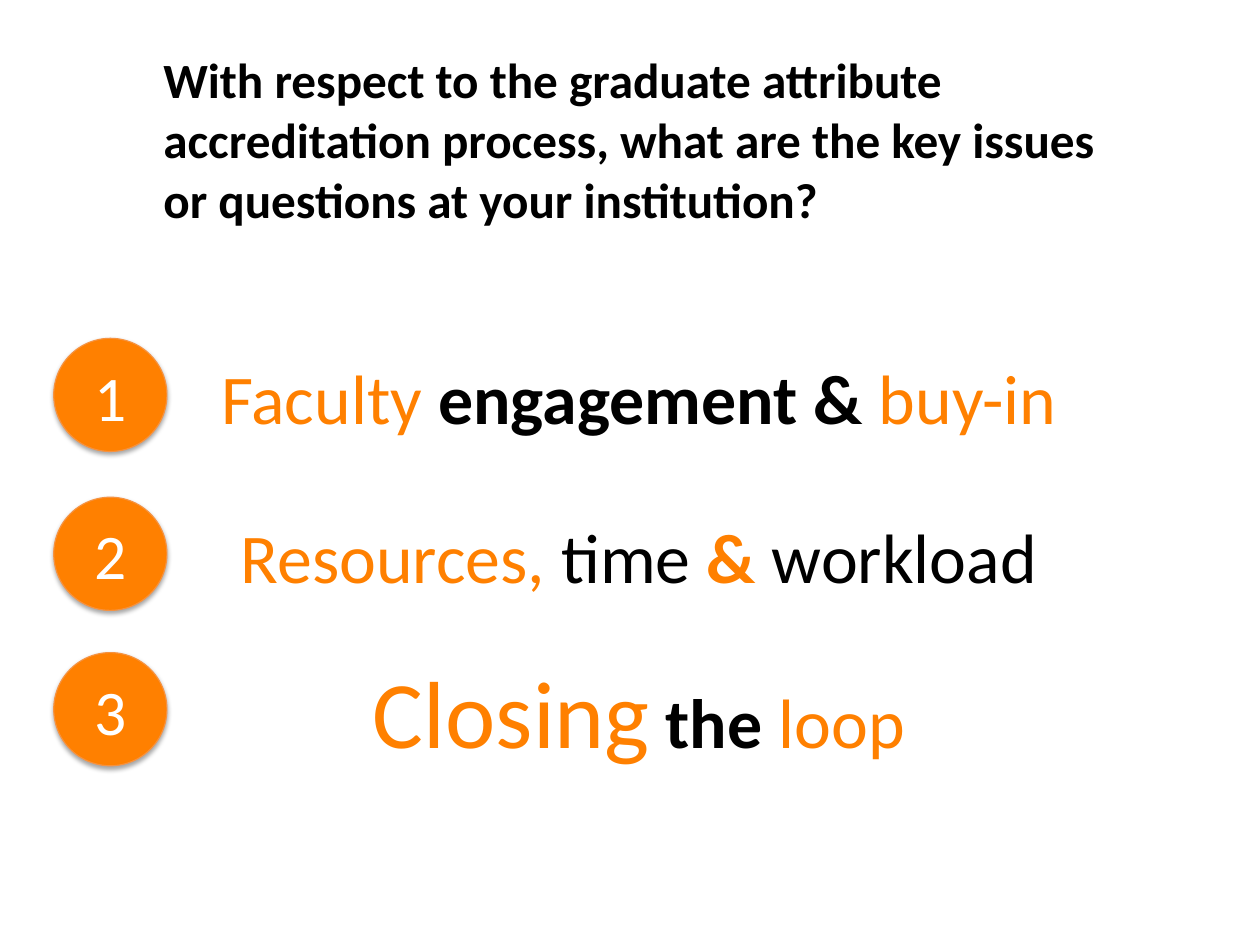
from dataclasses import dataclass

import lxml.etree
import pptx
import pptx.dml.color
import pptx.enum.shapes
import pptx.enum.text
import pptx.oxml.ns
import pptx.shapes.autoshape
import pptx.slide
import pptx.text.text
import pptx.util
from pptx.util import Inches, Pt

ORANGE = pptx.dml.color.RGBColor(0xFF, 0x80, 0x00)
OUTLINE = pptx.dml.color.RGBColor(0xF6, 0x92, 0x40)
BLACK = pptx.dml.color.RGBColor(0x00, 0x00, 0x00)
WHITE = pptx.dml.color.RGBColor(0xFF, 0xFF, 0xFF)
CENTER = pptx.enum.text.PP_ALIGN.CENTER
LEFT = pptx.enum.text.PP_ALIGN.LEFT
BADGE_SIZE = 0.99
CM_PER_INCH = 2.54


@dataclass(frozen=True)
class Phrase:
    text: str
    color: pptx.dml.color.RGBColor
    bold: bool = False
    size: int = 44


@dataclass(frozen=True)
class Issue:
    badge_top: float
    text_top: float
    text_height: float
    phrases: tuple[Phrase, ...]


QUESTION = Phrase(
    "With respect to the graduate attribute accreditation process, "
    "what are the key issues or questions at your institution?",
    BLACK, bold=True, size=31,
)
ISSUES = (
    Issue(2.96, 3.03, 0.86, (
        Phrase("Faculty ", ORANGE),
        Phrase("engagement & ", BLACK, bold=True),
        Phrase("buy-in", ORANGE),
    )),
    Issue(4.35, 4.42, 0.86, (
        Phrase("Resources, ", ORANGE),
        Phrase("time ", BLACK),
        Phrase("& ", ORANGE, bold=True),
        Phrase("workload", BLACK),
    )),
    Issue(5.71, 5.64, 1.14, (
        Phrase("Closing", ORANGE, size=60),
        Phrase(" the ", BLACK, bold=True),
        Phrase("loop", ORANGE),
    )),
)


def write_phrases(text_frame: pptx.text.text.TextFrame, phrases: tuple[Phrase, ...],
                  alignment: pptx.enum.text.PP_ALIGN) -> None:
    text_frame.word_wrap = True
    text_frame.margin_left = text_frame.margin_right = Inches(0.11)
    text_frame.margin_top = text_frame.margin_bottom = Inches(0.06)
    paragraph = text_frame.paragraphs[0]
    paragraph.alignment = alignment
    paragraph.line_spacing = 1.02
    for phrase in phrases:
        run = paragraph.add_run()
        run.text = phrase.text
        run.font.name = "Calibri"
        run.font.size = Pt(phrase.size)
        run.font.bold = phrase.bold
        run.font.color.rgb = phrase.color


def add_text(slide: pptx.slide.Slide, left: float, top: float, width: float, height: float,
             phrases: tuple[Phrase, ...], alignment: pptx.enum.text.PP_ALIGN) -> None:
    box = slide.shapes.add_textbox(Inches(left), Inches(top), Inches(width), Inches(height))
    write_phrases(box.text_frame, phrases, alignment)
    box.text_frame.auto_size = pptx.enum.text.MSO_AUTO_SIZE.SHAPE_TO_FIT_TEXT


def add_soft_shadow(shape: pptx.shapes.autoshape.Shape) -> None:
    """Cast a blurred 35 % black shadow straight down."""
    qn = pptx.oxml.ns.qn
    shape.shadow.inherit = False
    effects = shape._element.spPr.find(qn("a:effectLst"))
    shadow = lxml.etree.SubElement(
        effects, qn("a:outerShdw"), blurRad=str(Pt(3.1)), dist=str(Pt(1.8)),
        dir=str(90 * 60000), rotWithShape="0",
    )
    color = lxml.etree.SubElement(shadow, qn("a:srgbClr"), val=str(BLACK))
    lxml.etree.SubElement(color, qn("a:alpha"), val="35000")


def add_badge(slide: pptx.slide.Slide, number: int, top: float) -> None:
    badge = slide.shapes.add_shape(
        pptx.enum.shapes.MSO_SHAPE.OVAL,
        Inches(0.47), Inches(top), Inches(BADGE_SIZE), Inches(BADGE_SIZE),
    )
    badge.fill.solid()
    badge.fill.fore_color.rgb = ORANGE
    badge.line.color.rgb = OUTLINE
    badge.line.width = Pt(0.75)
    add_soft_shadow(badge)
    badge.text_frame.vertical_anchor = pptx.enum.text.MSO_ANCHOR.MIDDLE
    write_phrases(badge.text_frame, (Phrase(str(number), WHITE, size=40),), CENTER)


def main() -> None:
    presentation = pptx.Presentation()
    presentation.slide_width = Inches(28 / CM_PER_INCH)
    presentation.slide_height = Inches(21 / CM_PER_INCH)
    slide = presentation.slides.add_slide(presentation.slide_layouts[6])

    add_text(slide, 1.32, 0.36, 8.4, 1.71, (QUESTION,), LEFT)
    for issue in ISSUES:
        add_text(slide, 0.84, issue.text_top, 9.5, issue.text_height, issue.phrases, CENTER)
    for number, issue in enumerate(ISSUES, start=1):
        add_badge(slide, number, issue.badge_top)

    presentation.save("out.pptx")


if __name__ == "__main__":
    main()
